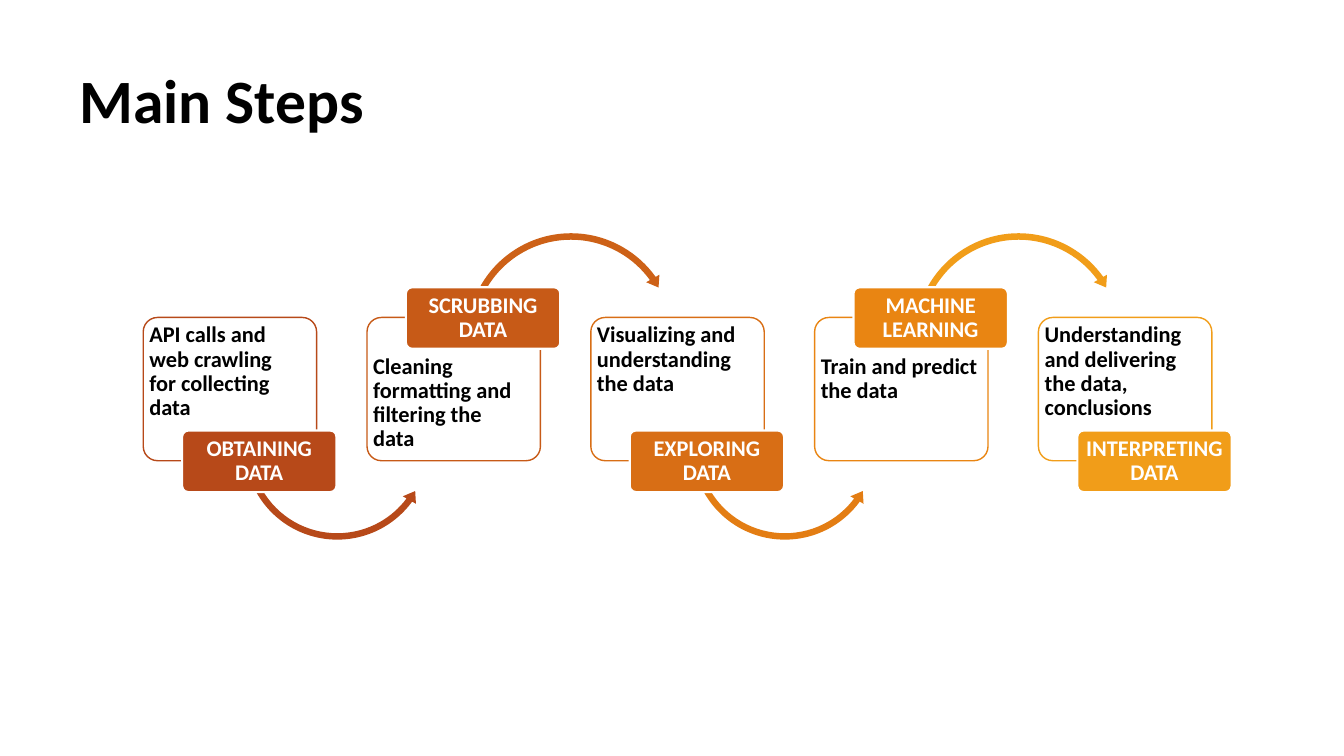
from lxml.etree import SubElement
from pptx import Presentation
from pptx.dml.color import RGBColor
from pptx.enum.shapes import MSO_SHAPE
from pptx.enum.text import MSO_ANCHOR, PP_ALIGN
from pptx.oxml.ns import qn
from pptx.util import Cm, Pt

TITLE = "Main Steps"
# label, description, step colour, colour of the arrow to the next step
STEPS = [
    ("OBTAINING DATA", "API calls and web crawling for collecting data", "rust", "rust"),
    ("SCRUBBING DATA", "Cleaning formatting and filtering the data", "brick", "copper"),
    ("EXPLORING DATA", "Visualizing and understanding the data", "orange", "tangerine"),
    ("MACHINE LEARNING", "Train and predict the data", "amber", "gold"),
    ("INTERPRETING DATA", "Understanding and delivering the data, conclusions", "gold", None),
]
COLORS = {
    "rust": "B74919", "brick": "C75A17", "copper": "CD6117", "orange": "D86E15",
    "tangerine": "E37D13", "amber": "E98512", "gold": "F19D19",
    "white": "FFFFFF", "black": "000000",
}

# All lengths in centimetres
LEFT, PITCH = 3.61, 5.64
CARD_TOP, CARD_W, CARD_H = 8.0, 4.37, 3.61
LABEL_DX, LABEL_W, LABEL_H = 0.98, 3.89, 1.55
INSET = 0.05
HANG = 0.48
LOW = dict(label_top=10.85, text_drop=0, arrow=MSO_SHAPE.LEFT_CIRCULAR_ARROW,
           dx=2.44, top=8.81, size=4.9, adj=(0.033, 4.105, 21.86, 90.245, 0.039))
HIGH = dict(label_top=7.24, text_drop=0.79, arrow=MSO_SHAPE.CIRCULAR_ARROW,
            dx=2.41, top=5.77, size=5.46, adj=(0.03, 3.656, 194.589, 125.755, 0.035))


def rgb(name):
    return RGBColor.from_string(COLORS[name])


def set_text(shape, text, size, color, align, anchor, **margins):
    tf = shape.text_frame
    frame = dict(word_wrap=True, vertical_anchor=anchor)
    frame.update({f"margin_{side}": Cm(v) for side, v in margins.items()})
    for key, value in frame.items():
        setattr(tf, key, value)
    p = tf.paragraphs[0]
    p.alignment, p.line_spacing = align, 0.9
    r = p.add_run()
    r.text = text
    for key, value in dict(name="Calibri", size=Pt(size), bold=True).items():
        setattr(r.font, key, value)
    r.font.color.rgb = rgb(color)
    return p


def add_filled(s, kind, x, y, w, h, fill, line=None, width=1, adj=()):
    sp = s.shapes.add_shape(kind, Cm(x), Cm(y), Cm(w), Cm(h))
    sp.shadow.inherit = False
    sp.fill.solid()
    sp.fill.fore_color.rgb = rgb(fill)
    if line:
        sp.line.color.rgb = rgb(line)
        sp.line.width = Pt(width)
    else:
        sp.line.fill.background()
    for i, value in enumerate(adj):
        sp.adjustments[i] = value
    return sp


def add_card(s, x, text, color, drop):
    card = add_filled(s, MSO_SHAPE.ROUNDED_RECTANGLE, x, CARD_TOP, CARD_W, CARD_H,
                      "white", color, adj=(0.1,))
    fill = card.fill.fore_color._xFill
    SubElement(fill.find(qn("a:srgbClr")), qn("a:alpha"), val="90000")
    p = set_text(card, text, 16, "black", PP_ALIGN.LEFT, MSO_ANCHOR.TOP,
                 left=INSET, right=INSET, top=INSET + drop, bottom=0)
    # Right-to-left hanging indent: later lines end short of the right edge
    pPr = p._p.get_or_add_pPr()
    for key, value in dict(marL=Cm(HANG), indent=-Cm(HANG), rtl=1).items():
        pPr.set(key, str(int(value)))
    SubElement(pPr, qn("a:buNone"))


def add_step(s, i, label, text, color, arrow_color):
    x = LEFT + i * PITCH
    row = HIGH if i % 2 else LOW
    add_card(s, x, text, color, row["text_drop"])
    if arrow_color:
        add_filled(s, row["arrow"], x + row["dx"], row["top"], row["size"], row["size"],
                   arrow_color, adj=row["adj"])
    tag = add_filled(s, MSO_SHAPE.ROUNDED_RECTANGLE, x + LABEL_DX, row["label_top"],
                     LABEL_W, LABEL_H, color, "white", 1.5, adj=(0.1,))
    set_text(tag, label, 16, "white", PP_ALIGN.CENTER, MSO_ANCHOR.MIDDLE,
             left=0.08, right=0.08, top=0.05, bottom=0.05)


def main():
    prs = Presentation()
    prs.slide_width, prs.slide_height = Cm(33.87), Cm(19.05)
    s = prs.slides.add_slide(prs.slide_layouts[5])
    title = s.shapes.title
    title.left, title.top, title.width, title.height = Cm(1.75), Cm(1.65), Cm(13.36), Cm(4.57)
    set_text(title, TITLE, 44, "black", PP_ALIGN.LEFT, MSO_ANCHOR.TOP)
    for i, step in enumerate(STEPS):
        add_step(s, i, *step)
    prs.save("out.pptx")


if __name__ == "__main__":
    main()
